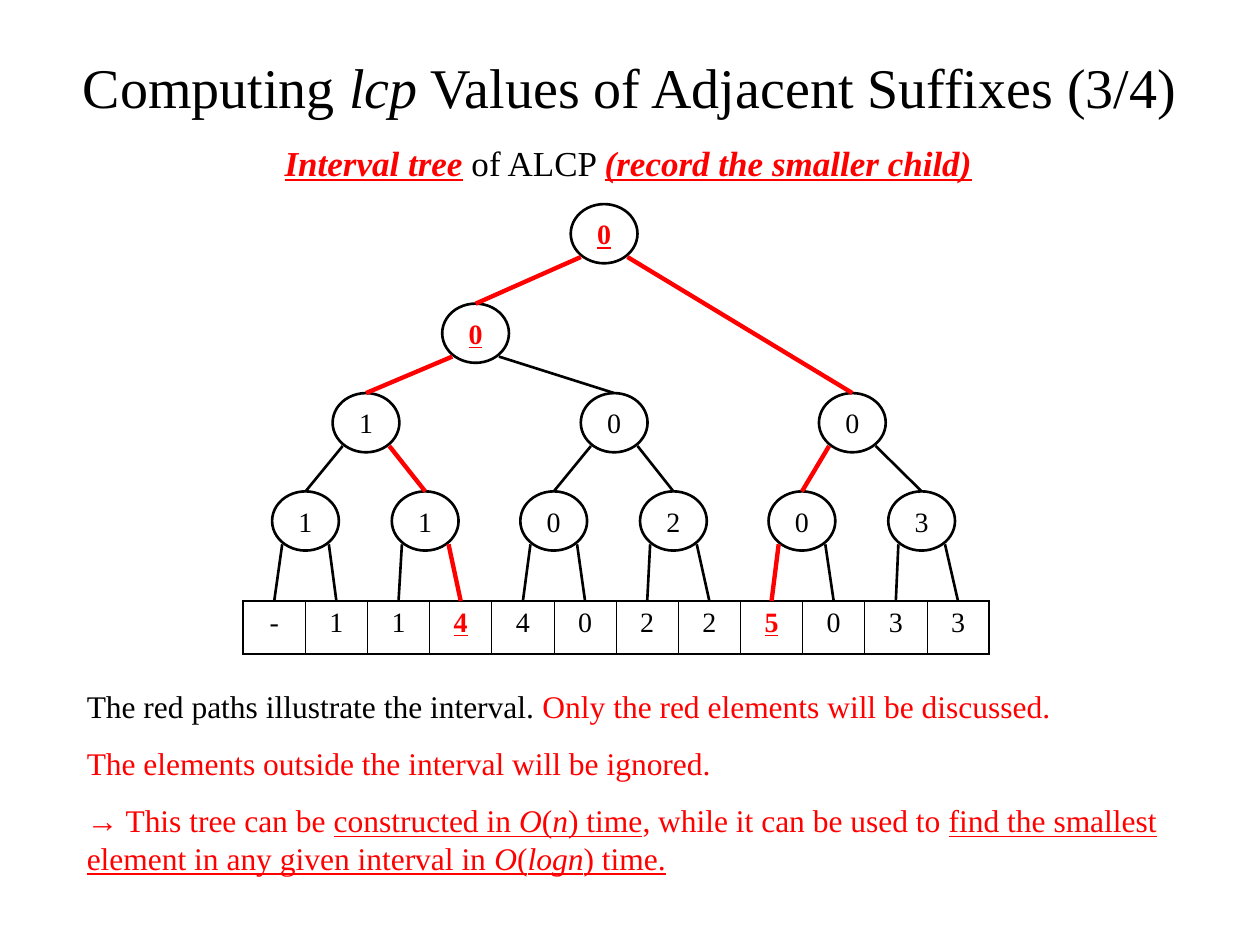
from lxml import etree
from pptx import Presentation
from pptx.dml.color import RGBColor
from pptx.enum import shapes, text
from pptx.oxml.ns import qn
from pptx.util import Inches, Pt

FACE = "Times New Roman"
HUES = {"black": "000000", "red": "FF0000", "white": "FFFFFF"}


def rgb(hue):
    return RGBColor.from_string(HUES[hue])


def write(para, size, runs):
    """Fill a paragraph with (words, hue, marks) runs; marks are letters of 'biu'."""
    para.font.name, para.font.size = FACE, Pt(size)
    if len({run[1] for run in runs}) == 1:
        para.font.color.rgb = rgb(runs[0][1])
    for words, hue, marks in runs:
        run = para.add_run()
        run.text = words
        font = run.font
        font.color.rgb = rgb(hue)
        for mark, name in (("b", "bold"), ("i", "italic"), ("u", "underline")):
            if mark in marks:
                setattr(font, name, True)
        if words == "→":
            font.name = "Arial"


prs = Presentation()
prs.slide_width, prs.slide_height = Inches(10), Inches(7.5)
slide = prs.slides.add_slide(prs.slide_layouts[5])

# Title
title = slide.shapes.title
title.left, title.top = Inches(0.5), Inches(0.3)
title.width, title.height = Inches(9), Inches(0.77)
frame = title.text_frame
frame.auto_size = text.MSO_AUTO_SIZE.NONE
frame.vertical_anchor = text.MSO_ANCHOR.MIDDLE
para = frame.paragraphs[0]
para.alignment = text.PP_ALIGN.CENTER
write(para, 32, [("Computing ", "black", ""), ("lcp", "black", "i"),
                 (" Values of Adjacent Suffixes (3/4)", "black", "")])

# Array of lcp values
values = "-11440225033"
left, base, wide, high = 1.93, 4.77, 5.92, 0.42
count = len(values)
step = wide / count
grid = slide.shapes.add_table(1, count, Inches(left), Inches(base),
                              Inches(wide), Inches(high)).table
grid.first_row = grid.horz_banding = False
grid.rows[0].height = Inches(high)
for i, value in enumerate(values):
    grid.columns[i].width = Inches(step)
    cell = grid.cell(0, i)
    para = cell.text_frame.paragraphs[0]
    para.alignment = text.PP_ALIGN.CENTER
    write(para, 16, [(value, "red", "bu") if i in (3, 8) else (value, "black", "")])
    props = cell._tc.get_or_add_tcPr()
    outer = {"a:lnL": i == 0, "a:lnR": i == count - 1, "a:lnT": True, "a:lnB": True}
    for tag, thick in outer.items():
        edge = etree.SubElement(props, qn(tag), w=str(Pt(1.08 if thick else 0.45)))
        fill = etree.SubElement(edge, qn("a:solidFill"))
        etree.SubElement(fill, qn("a:srgbClr"), val=HUES["black"])
    cell.fill.background()

# Tree nodes from the root down: left, top, value
spots = [(4.53, 1.62, "0"), (3.51, 2.41, "0"),
         (2.64, 3.12, "1"), (4.61, 3.12, "0"), (6.5, 3.12, "0")]
for i, value in enumerate("110203"):
    spots.append((2.16 + 1.97 * (i // 2) + 0.95 * (i % 2), 3.9, value))
nodes = []
for i, (x, y, value) in enumerate(spots):
    node = slide.shapes.add_shape(shapes.MSO_SHAPE.OVAL, Inches(x), Inches(y),
                                  Inches(0.53), Inches(0.47))
    node.shadow.inherit = False
    node.fill.solid()
    node.fill.fore_color.rgb = rgb("white")
    node.line.color.rgb = rgb("black")
    node.line.width = Pt(1.5)
    frame = node.text_frame
    frame.word_wrap = False
    frame.vertical_anchor = text.MSO_ANCHOR.MIDDLE
    para = frame.paragraphs[0]
    para.alignment = text.PP_ALIGN.CENTER
    write(para, 16, [(value, "red", "bu") if i < 2 else (value, "black", "")])
    nodes.append(node)

# Links from each child up to its parent; children from 11 on are array cells
kids = [(1, 4), (2, 3)] + [(k, k + 1) for k in range(5, 23, 2)]
marked = {1, 2, 4, 6, 9, 14, 19}
for (x, y, _), pair in zip(spots, kids):
    for kid, shift in zip(pair, (0.08, 0.45)):
        cell = kid - len(nodes)
        link = slide.shapes.add_connector(
            shapes.MSO_CONNECTOR.STRAIGHT,
            Inches(left + step * (cell + 0.5)), Inches(base),
            Inches(x + shift), Inches(y + 0.42))
        if cell < 0:
            link.begin_connect(nodes[kid], 0)
        link.line.color.rgb = rgb("red" if kid in marked else "black")
        link.line.width = Pt(2.5 if kid in marked else 1.5)
        etree.SubElement(link._element.spPr, qn("a:effectLst"))

# Caption above the tree and notes below it
caption = [[("Interval tree", "red", "biu"), (" of ALCP ", "black", ""),
            ("(record the smaller child)", "red", "biu")]]
notes = [
    [("The red paths illustrate the interval. ", "black", ""),
     ("Only the red elements will be discussed.", "red", "")],
    [("The elements outside the interval will be ignored.", "red", "")],
    [("→", "red", ""), (" This tree can be ", "red", ""),
     ("constructed in ", "red", "u"), ("O", "red", "iu"), ("(", "red", "u"),
     ("n", "red", "iu"), (") time", "red", "u"),
     (", while it can be used to ", "red", ""),
     ("find the smallest element in any given interval in ", "red", "u"),
     ("O", "red", "iu"), ("(", "red", "u"), ("logn", "red", "iu"),
     (") time.", "red", "u")],
]
for place, size, paras in (((2.16, 1.07, 5.75, 0.44), 20, caption),
                           ((0.59, 5.4, 8.98, 1.62), 18, notes)):
    frame = slide.shapes.add_textbox(*map(Inches, place)).text_frame
    frame.word_wrap = True
    for i, runs in enumerate(paras):
        para = frame.add_paragraph() if i else frame.paragraphs[0]
        if i:
            para.space_before = Pt(11.2)
        write(para, size, runs)

prs.save("out.pptx")
